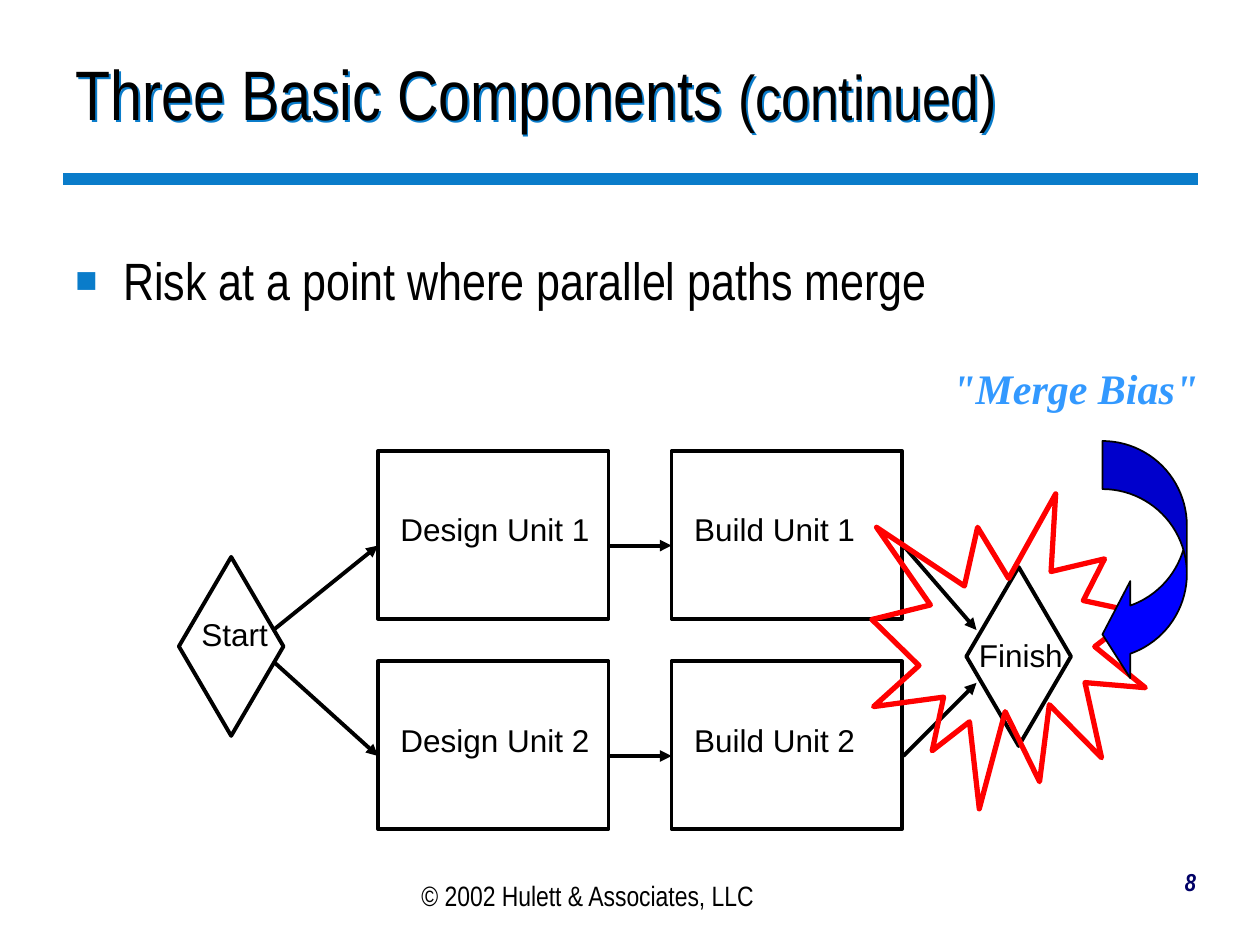
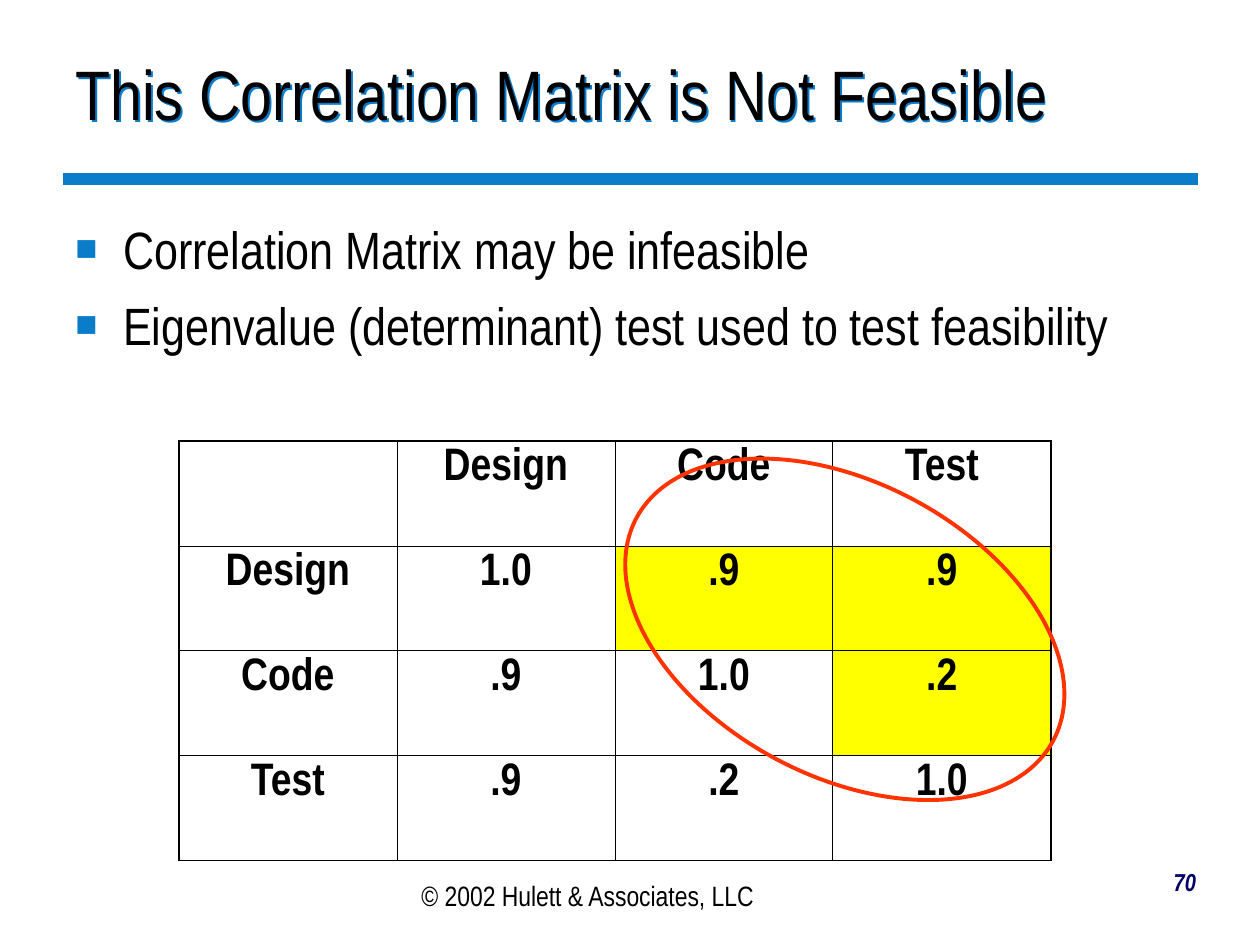
from lxml.etree import SubElement
from pptx import Presentation
from pptx.dml.color import RGBColor
from pptx.enum.shapes import MSO_CONNECTOR, MSO_SHAPE
from pptx.enum.text import MSO_ANCHOR, PP_ALIGN
from pptx.oxml.ns import qn
from pptx.util import Inches, Pt

BLACK = "000000"
BAND_BLUE = "0A7CCA"
NUMBER_NAVY = "000066"
BIAS_BLUE = "3399FF"
ARROW_BLUE = "0000FF"
BURST_RED = "FF0000"
OVAL_RED = "FF3300"
YELLOW = "FFFF00"
NARROW = "Arial Narrow"


def rgb(color):
    return RGBColor.from_string(color)


def add_xml(parent, tag, **attrs):
    return SubElement(parent, qn(tag), attrs)


def set_font(font, size, name=NARROW, color=BLACK, bold=False, italic=False):
    font.size, font.name = Pt(size), name
    font.color.rgb = rgb(color)
    font.bold, font.italic = bold, italic


def add_box(slide, x, y, w, h, anchor=MSO_ANCHOR.TOP):
    box = slide.shapes.add_textbox(Inches(x), Inches(y), Inches(w), Inches(h))
    box.text_frame.word_wrap = True
    box.text_frame.vertical_anchor = anchor
    return box


def add_text(slide, text, x, y, w, h, size, align=PP_ALIGN.LEFT, **font):
    p = add_box(slide, x, y, w, h).text_frame.paragraphs[0]
    p.text = text
    p.alignment = align
    set_font(p.font, size, **font)


def add_title(slide, *parts):
    """Add a title of (text, size) parts with a small blue shadow."""
    box = add_box(slide, 0.5, 0.17, 9.08, 1.25, MSO_ANCHOR.MIDDLE)
    p = box.text_frame.paragraphs[0]
    p.line_spacing = 0.8
    for text, size in parts:
        r = p.add_run()
        r.text = text
        set_font(r.font, size)
    effects = add_xml(box.element.spPr, "a:effectLst")
    shadow = add_xml(effects, "a:outerShdw", dist=str(Inches(0.02)), dir="2700000")
    add_xml(shadow, "a:srgbClr", val=BAND_BLUE)


def add_bullets(slide, y, items):
    tf = add_box(slide, 0.5, y, 9.08, 6.5 - y).text_frame
    for i, item in enumerate(items):
        p = tf.add_paragraph() if i else tf.paragraphs[0]
        p.text = item
        pPr = p._p.get_or_add_pPr()
        pPr.set("marL", str(Inches(0.38)))
        pPr.set("indent", str(-Inches(0.38)))
        add_xml(add_xml(pPr, "a:buClr"), "a:srgbClr", val=BAND_BLUE)
        add_xml(pPr, "a:buSzPct", val="70000")
        add_xml(pPr, "a:buFont", typeface="Arial")
        add_xml(pPr, "a:buChar", char="■")
        if i:
            p.space_before = Pt(7.5)
        set_font(p.font, 30)


def add_line(slide, start, end, color=BLACK, width=2.25, arrow=True):
    points = [Inches(v) for v in (*start, *end)]
    line = slide.shapes.add_connector(MSO_CONNECTOR.STRAIGHT, *points)
    line.line.color.rgb = rgb(color)
    line.line.width = Pt(width)
    if arrow:
        add_xml(line.line._get_or_add_ln(), "a:tailEnd", type="triangle")
    add_xml(line._element.spPr, "a:effectLst")


def add_outline(slide, kind, x, y, w, h, color=BLACK, width=2.25, fill=None):
    sp = slide.shapes.add_shape(kind, Inches(x), Inches(y), Inches(w), Inches(h))
    sp.shadow.inherit = False
    if fill:
        sp.fill.solid()
        sp.fill.fore_color.rgb = rgb(fill)
    else:
        sp.fill.background()
    sp.line.color.rgb = rgb(color)
    sp.line.width = Pt(width)
    return sp


def add_matrix(slide, rows, highlighted, x, y, w, h):
    """Add a grid with thin inner and thicker outer borders."""
    n = len(rows)
    frame = slide.shapes.add_table(n, n, Inches(x), Inches(y), Inches(w), Inches(h))
    table = frame.table
    table.first_row = table.horz_banding = False
    for i, row in enumerate(rows):
        for j, text in enumerate(row):
            cell = table.cell(i, j)
            p = cell.text_frame.paragraphs[0]
            p.text = text
            p.alignment = PP_ALIGN.CENTER
            set_font(p.font, 26, bold=True)
            tcPr = cell._tc.get_or_add_tcPr()
            outer = {"L": j == 0, "R": j == n - 1, "T": i == 0, "B": i == n - 1}
            for side, is_outer in outer.items():
                width = Pt(1.08 if is_outer else 0.45)
                ln = add_xml(tcPr, f"a:ln{side}", w=str(width))
                add_xml(add_xml(ln, "a:solidFill"), "a:srgbClr", val=BLACK)
            if (i, j) in highlighted:
                cell.fill.solid()
                cell.fill.fore_color.rgb = rgb(YELLOW)
            else:
                cell.fill.background()


def add_slide(prs, number):
    """Add a blank slide with the band, copyright line and slide number."""
    slide = prs.slides.add_slide(prs.slide_layouts[6])
    add_line(slide, (0.5, 1.42), (9.51, 1.42), BAND_BLUE, 6.75, arrow=False)
    add_text(slide, "© 2002 Hulett & Associates, LLC", 3.08, 6.92, 3.17, 0.37,
             16, PP_ALIGN.CENTER)
    add_text(slide, str(number), 7.17, 6.83, 2.42, 0.5, 14, PP_ALIGN.RIGHT,
             color=NUMBER_NAVY, bold=True, italic=True)
    return slide


def add_merge_network(slide):
    for unit, top in enumerate((3.58, 5.25), 1):
        for step, left in (("Design", 3), ("Build", 5.33)):
            add_outline(slide, MSO_SHAPE.RECTANGLE, left, top, 1.83, 1.33)
            add_text(slide, f"{step} Unit {unit}", left + 0.08, top + 0.42,
                     1.75, 0.4, 18, name="Arial")
    for label, left, top, text_x, text_y in (
            ("Start", 1.42, 4.42, 1.5, 4.83), ("Finish", 7.67, 4.5, 7.67, 5)):
        add_outline(slide, MSO_SHAPE.DIAMOND, left, top, 0.83, 1.42)
        add_text(slide, label, text_x, text_y, 0.92, 0.4, 18, name="Arial")
    for y, start_y, finish_y in ((4.33, 5, 5), (6, 5.25, 5.42)):
        add_line(slide, (2.17, start_y), (3, y))
        add_line(slide, (4.83, y), (5.33, y))
        add_line(slide, (7.17, y), (7.75, finish_y))


def add_merge_bias(slide):
    add_outline(slide, MSO_SHAPE.EXPLOSION1, 6.92, 3.92, 2.17, 2.5, BURST_RED, 3)
    add_text(slide, '"Merge Bias"', 7.17, 2.83, 2.73, 0.57, 24, PP_ALIGN.CENTER,
             name="Times New Roman", color=BIAS_BLUE, bold=True, italic=True)
    arrow = add_outline(slide, MSO_SHAPE.CURVED_LEFT_ARROW, 8.75, 3.5, 0.67, 1.92,
                        width=1, fill=ARROW_BLUE)
    for i, value in enumerate((0.57, 1.15, 0.33)):
        arrow.adjustments[i] = value


def main():
    prs = Presentation()
    prs.slide_width, prs.slide_height = Inches(10), Inches(7.5)

    slide = add_slide(prs, 8)
    add_title(slide, ("Three Basic Components ", 40), ("(continued)", 36))
    add_bullets(slide, 1.92, ["Risk at a point where parallel paths merge"])
    add_merge_network(slide)
    add_merge_bias(slide)

    slide = add_slide(prs, 70)
    add_title(slide, ("This Correlation Matrix is Not Feasible", 40))
    add_bullets(slide, 1.67, [
        "Correlation Matrix may be infeasible",
        "Eigenvalue (determinant) test used to test feasibility",
    ])
    add_matrix(slide, [
        ("", "Design", "Code", "Test"),
        ("Design", "1.0", ".9", ".9"),
        ("Code", ".9", "1.0", ".2"),
        ("Test", ".9", ".2", "1.0"),
    ], {(1, 2), (1, 3), (2, 3)}, 1.42, 3.5, 6.92, 3.33)
    oval = add_outline(slide, MSO_SHAPE.OVAL, 4.83, 3.83, 3.75, 2.33, OVAL_RED)
    oval.rotation = 28.1

    prs.save("out.pptx")


if __name__ == "__main__":
    main()
